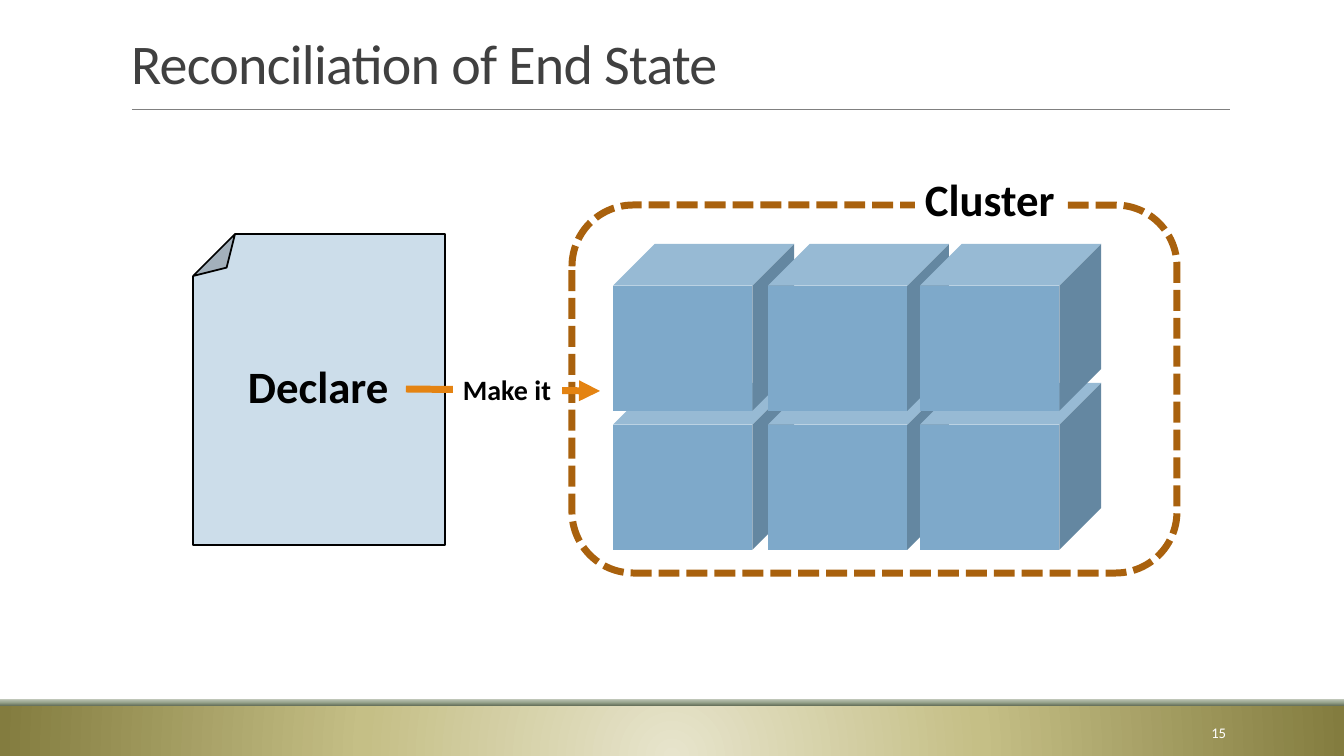
"""Build the slide showing a declared state being reconciled with a cluster."""
import lxml.etree
import pptx
import pptx.dml.color
import pptx.enum.dml
import pptx.enum.shapes
import pptx.enum.text
import pptx.oxml
import pptx.oxml.ns
import pptx.util

PX = 914400 / 100.8
DRAWING = "http://schemas.openxmlformats.org/drawingml/2006/main"
SHAPES = pptx.enum.shapes.MSO_SHAPE
ANCHOR = pptx.enum.text.MSO_ANCHOR
ALIGN = pptx.enum.text.PP_ALIGN


def px(*lengths):
    return [round(length * PX) for length in lengths]


def color(target, value):
    if hasattr(target, "solid"):
        target.solid()
        target = target.fore_color
    target.rgb = pptx.dml.color.RGBColor.from_string(value)


presentation = pptx.Presentation()
presentation.slide_width, presentation.slide_height = px(1344, 756)
slide = presentation.slides.add_slide(presentation.slide_layouts[5])
shapes = slide.shapes

footer_bands = [
    (706, 50, [(0, "E7E4CC"), (46, "C5BF86"), (100, "837C3F")],
     '<a:path path="circle"><a:fillToRect l="50000" t="130000" r="50000" b="-30000"/></a:path>'),
    (699, 7, [(0, "636E58"), (48, "97A38C"), (100, "BFC6B8")],
     '<a:lin ang="16200000" scaled="0"/>'),
]
for top, height, stops, direction in footer_bands:
    band = shapes.add_shape(SHAPES.RECTANGLE, *px(0, top, 1344, height))
    band.shadow.inherit = False
    band.line.fill.background()
    stop_xml = "".join(
        f'<a:gs pos="{position * 1000}"><a:srgbClr val="{value}"/></a:gs>' for position, value in stops)
    gradient = pptx.oxml.parse_xml(
        f'<a:gradFill xmlns:a="{DRAWING}" rotWithShape="1"><a:gsLst>{stop_xml}</a:gsLst>{direction}</a:gradFill>')
    band._element.spPr.find(pptx.oxml.ns.qn("a:prstGeom")).addnext(gradient)

title = shapes.title
title.left, title.top, title.width, title.height = px(121, 31, 1109, 70)
title.text_frame.text = "Reconciliation of End State"
title.text_frame.vertical_anchor = ANCHOR.BOTTOM
title.text_frame.auto_size = pptx.enum.text.MSO_AUTO_SIZE.NONE
title_paragraph = title.text_frame.paragraphs[0]
title_paragraph.alignment = ALIGN.LEFT
title_paragraph.line_spacing = 0.85
title_font = title_paragraph.runs[0].font
title_font.name = "Calibri"
title_font.size = pptx.util.Pt(40)
color(title_font.fill, "404040")
title_paragraph.runs[0]._r.get_or_add_rPr().set("spc", "-50")

document = shapes.add_shape(SHAPES.FOLDED_CORNER, *px(193, 234, 252, 311))
document.rotation = 180
document.shadow.inherit = False
color(document.fill, "CCDDEA")
color(document.line.fill, "000000")
document.line.width = pptx.util.Pt(1.25)

cluster = shapes.add_shape(SHAPES.ROUNDED_RECTANGLE, *px(572, 205, 605, 368))
cluster.shadow.inherit = False
cluster.fill.background()
color(cluster.line.fill, "A9610D")
cluster.line.width = pptx.util.Pt(5)
cluster.line.dash_style = pptx.enum.dml.MSO_LINE.SQUARE_DOT
cluster.line._ln.find(pptx.oxml.ns.qn("a:prstDash")).set("val", "sysDash")

for top in (383, 244):
    for left in (613, 768, 920):
        node = shapes.add_shape(SHAPES.CUBE, *px(left, top, 181, 167))
        node.shadow.inherit = False
        color(node.fill, "7EA9CA")
        node.line.fill.background()

connectors = [
    ((132, 109, 1230, 109), "808080", 0.5, False),
    ((406, 389, 600, 391), "E48312", 5, True),
]
for ends, line_color, width, has_arrow in connectors:
    connector = shapes.add_connector(pptx.enum.shapes.MSO_CONNECTOR.STRAIGHT, *px(*ends))
    color(connector.line.fill, line_color)
    connector.line.width = pptx.util.Pt(width)
    if has_arrow:
        lxml.etree.SubElement(connector.line._ln, pptx.oxml.ns.qn("a:tailEnd"), type="triangle")
    lxml.etree.SubElement(connector._element.spPr, pptx.oxml.ns.qn("a:effectLst"))

labels = [
    ("Declare", (238, 354, 162, 64), 32, "000000", True, ALIGN.LEFT, None),
    ("Cluster", (915, 167, 151, 64), 32, "000000", True, ALIGN.LEFT, "FFFFFF"),
    ("Make it", (453, 368, 109, 44), 20, "000000", True, ALIGN.LEFT, "FFFFFF"),
    ("15", (1092, 713, 144, 40), 10.5, "FFFFFF", False, ALIGN.RIGHT, None),
]
for text, box, size, text_color, bold, alignment, background in labels:
    label = shapes.add_textbox(*px(*box))
    if background:
        color(label.fill, background)
    label.text_frame.text = text
    label.text_frame.word_wrap = alignment == ALIGN.RIGHT
    label.text_frame.vertical_anchor = ANCHOR.MIDDLE if alignment == ALIGN.RIGHT else ANCHOR.TOP
    paragraph = label.text_frame.paragraphs[0]
    paragraph.alignment = alignment
    font = paragraph.runs[0].font
    font.name = "Calibri"
    font.size = pptx.util.Pt(size)
    font.bold = bold
    color(font.fill, text_color)

presentation.save("out.pptx")
